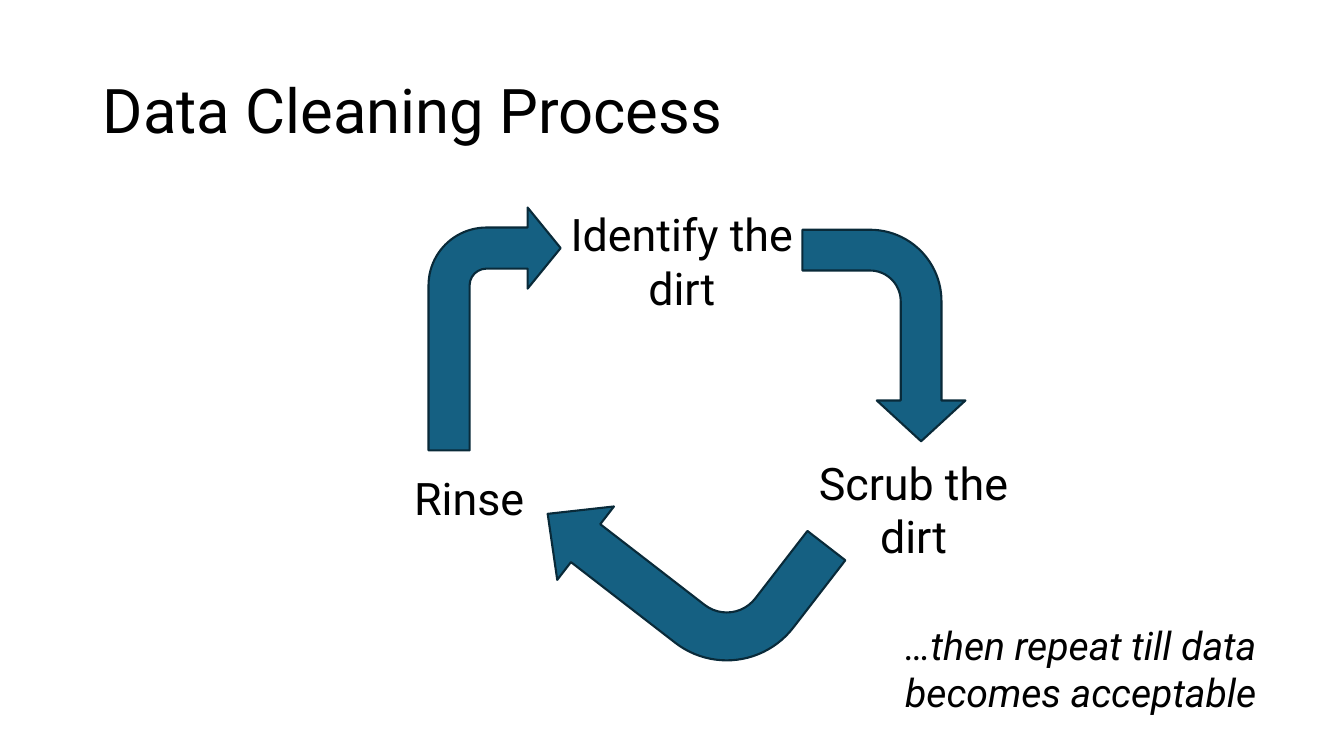
from pptx import Presentation
from pptx.dml.color import RGBColor
from pptx.enum.shapes import MSO_SHAPE as Shape
from pptx.enum.text import MSO_ANCHOR as Anchor, MSO_AUTO_SIZE as AutoSize, PP_ALIGN as Align
from pptx.util import Cm, Pt

BLACK = RGBColor(0x00, 0x00, 0x00)
BLUE = RGBColor(0x15, 0x60, 0x82)
NAVY = RGBColor(0x09, 0x2A, 0x39)

TITLE = {"line_spacing": 0.9, "alignment": Align.LEFT}
STEP = {"alignment": Align.CENTER}
NOTE = {"alignment": Align.LEFT}

STEPS = [
    (["Identify the dirt"], (13.36, 5.08, 7.65, 3)),
    (["Scrub the", "dirt"], (19.2, 11.35, 7.65, 3)),
    (["Rinse"], (8, 11.73, 7.65, 1.63)),
]
ARROWS = [
    ((10.8, 5.23, 3.33, 6.12), 0, (0.311, 0.307, 0.25, 0.438)),
    ((19.61, 6.4, 5.33, 4.11), 90, (0.25, 0.272, 0.25, 0.438)),
    ((13.87, 11.58, 6.65, 4.83), 217.7, (0.25, 0.242, 0.25, 0.438)),
]


def add_text(s, lines, box, size, paragraph_format, frame_format, italic=False):
    tf = s.shapes.add_textbox(*map(Cm, box)).text_frame
    for name, value in {"word_wrap": True, **frame_format}.items():
        setattr(tf, name, value)
    for i, line in enumerate(lines):
        p = tf.add_paragraph() if i else tf.paragraphs[0]
        for name, value in paragraph_format.items():
            setattr(p, name, value)
        r = p.add_run()
        r.text = line
        for name, value in {"name": "Roboto", "size": Pt(size), "italic": italic}.items():
            setattr(r.font, name, value)
        r.font.color.rgb = BLACK


def add_arrow(s, box, rotation, adjustments):
    sp = s.shapes.add_shape(Shape.BENT_ARROW, *map(Cm, box))
    sp.rotation = rotation
    for i, value in enumerate(adjustments):
        sp.adjustments[i] = value
    sp.shadow.inherit = False
    sp.fill.solid()
    sp.fill.fore_color.rgb = BLUE
    sp.line.color.rgb = NAVY
    sp.line.width = Pt(1.5)


def main():
    prs = Presentation()
    prs.slide_width, prs.slide_height = Cm(33.87), Cm(19.05)
    s = prs.slides.add_slide(prs.slide_layouts[6])
    grow = {"auto_size": AutoSize.SHAPE_TO_FIT_TEXT}
    add_text(s, ["Data Cleaning Process"], (2.34, 1.02, 29.21, 3.68), 44,
             TITLE, {"vertical_anchor": Anchor.MIDDLE})
    for lines, box in STEPS:
        add_text(s, lines, box, 32, STEP, grow)
    for box, rotation, adjustments in ARROWS:
        add_arrow(s, box, rotation, adjustments)
    add_text(s, ["…then repeat till data becomes acceptable"],
             (22.56, 15.54, 10.82, 2.64), 28, NOTE, grow, italic=True)
    prs.save("out.pptx")


if __name__ == "__main__":
    main()
